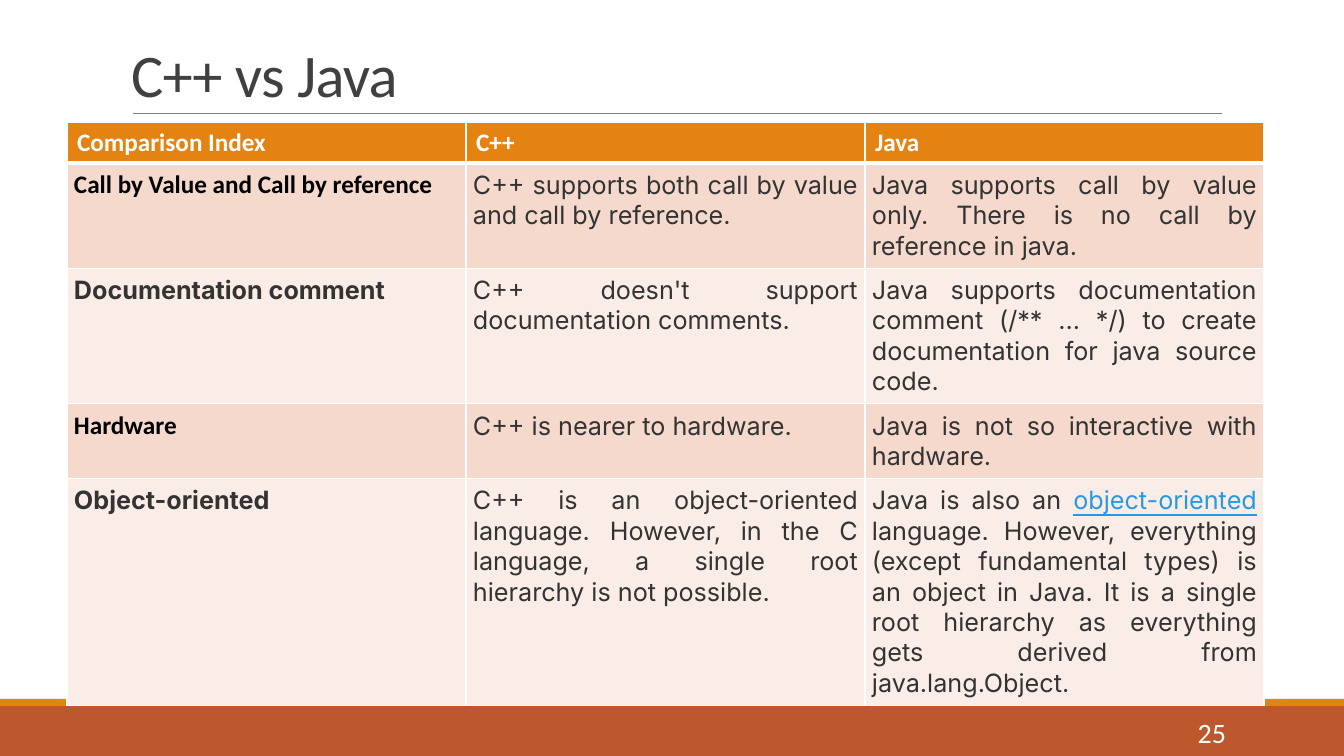
from lxml import etree
from pptx import Presentation
from pptx import util as u
from pptx.dml.color import RGBColor
from pptx.enum import shapes, text
from pptx.oxml.ns import qn

PX = 9071.43  # EMU in one px
HUES = {"rust": "BD582C", "amber": "E48312", "rule": "808080", "title": "404040",
        "white": "FFFFFF", "black": "000000", "ink": "333333", "link": "2998E3",
        "odd": "F5D9CC", "even": "FAEDE7"}

HEAD = {"size": u.Pt(18), "name": "Calibri", "bold": True, "hue": "white"}
LABEL = HEAD | {"hue": "black"}
BODY = {"size": u.Pt(18), "name": "Inter", "bold": False, "hue": "ink"}
STRONG = BODY | {"bold": True}
LINK = BODY | {"hue": "link", "underline": True}
TITLE = {"size": u.Pt(43.2), "name": "Calibri", "bold": False, "hue": "title"}
PAGE = {"size": u.Pt(20), "name": "Calibri", "bold": False, "hue": "white"}

# Each cell is a list of (words, format) runs
ROWS = [
    [[(name, HEAD)] for name in ("Comparison Index", "C++", "Java")],
    [[("Call by Value and Call by reference", LABEL)],
     [("C++ supports both call by value and call by reference.", BODY)],
     [("Java supports call by value only. There is no call by reference in java.", BODY)]],
    [[("Documentation comment", STRONG)],
     [("C++ doesn't support documentation comments.", BODY)],
     [("Java supports documentation comment (/** ... */) to create documentation "
       "for java source code.", BODY)]],
    [[("Hardware", LABEL)],
     [("C++ is nearer to hardware.", BODY)],
     [("Java is not so interactive with hardware.", BODY)]],
    [[("Object-oriented", STRONG)],
     [("C++ is an object-oriented language. However, in the C language, "
       "a single root hierarchy is not possible.", BODY)],
     [("Java is also an ", BODY), ("object-oriented", LINK),
      (" language. However, everything (except fundamental types) is an object in Java. "
       "It is a single root hierarchy as everything gets derived from java.lang.Object.",
       BODY)]],
]


def px(*nums):
    return [u.Emu(round(n * PX)) for n in nums]


def rgb(hue):
    return RGBColor.from_string(HUES[hue])


def write(para, runs, align):
    para.alignment = align
    for words, form in runs:
        run = para.add_run()
        run.text = words
        for key, value in form.items():
            if key == "hue":
                run.font.color.rgb = rgb(value)
            else:
                setattr(run.font, key, value)


def set_frame(frame, form):
    for key, value in form.items():
        setattr(frame, key, value)


def add_bands(slide, box):
    """Amber strip above a rust footer."""
    left, top, wide, high = box
    strip = 7
    for hue, y, tall in (("rust", top + strip, high - strip), ("amber", top, strip)):
        band = slide.shapes.add_shape(shapes.MSO_SHAPE.RECTANGLE, *px(left, y, wide, tall))
        band.shadow.inherit = False
        band.fill.solid()
        band.fill.fore_color.rgb = rgb(hue)
        band.line.fill.background()


def add_title(slide, box):
    left, top, wide, high = box
    title = slide.shapes.title
    title.left, title.top, title.width, title.height = px(*box)
    set_frame(title.text_frame, {"vertical_anchor": text.MSO_ANCHOR.BOTTOM,
                                 "word_wrap": True, "auto_size": text.MSO_AUTO_SIZE.NONE})
    para = title.text_frame.paragraphs[0]
    para.line_spacing = 0.85
    write(para, [("C++ vs Java", TITLE)], text.PP_ALIGN.LEFT)
    para.runs[0].font._element.set("spc", "-50")

    # Rule under the title
    y = top + high - 2
    rule = slide.shapes.add_connector(shapes.MSO_CONNECTOR.STRAIGHT,
                                      *px(left + 12, y, left + wide - 8, y))
    rule.line.color.rgb = rgb("rule")
    rule.line.width = u.Pt(0.5)
    etree.SubElement(rule._element.spPr, qn("a:effectLst"))


def add_edges(cell, widths):
    props = cell._tc.get_or_add_tcPr()
    for side, width in widths.items():
        edge = etree.SubElement(props, qn("a:ln" + side), w=str(u.Pt(width)))
        fill = etree.SubElement(edge, qn("a:solidFill"))
        etree.SubElement(fill, qn("a:srgbClr"), val=HUES["white"])


def add_grid(slide, box):
    grid = slide.shapes.add_table(len(ROWS), len(ROWS[0]), *px(*box)).table
    for i, row in enumerate(ROWS):
        head = i == 0
        hue = "amber" if head else "odd" if i % 2 else "even"
        align = text.PP_ALIGN.LEFT if head else text.PP_ALIGN.JUSTIFY
        for j, runs in enumerate(row):
            cell = grid.cell(i, j)
            add_edges(cell, {"L": 1, "R": 1, "T": 3 if i == 1 else 1, "B": 3 if head else 1})
            cell.fill.solid()
            cell.fill.fore_color.rgb = rgb(hue)
            if not head:
                for side in ("left", "right", "top", "bottom"):
                    setattr(cell, "margin_" + side, px(7)[0])
            write(cell.text_frame.paragraphs[0], runs, align)


def add_page(slide, box):
    frame = slide.shapes.add_textbox(*px(*box)).text_frame
    set_frame(frame, {"word_wrap": True, "vertical_anchor": text.MSO_ANCHOR.MIDDLE})
    write(frame.paragraphs[0], [("25", PAGE)], text.PP_ALIGN.RIGHT)


def main():
    deck = Presentation()
    deck.slide_width, deck.slide_height = px(1344, 756)
    slide = deck.slides.add_slide(deck.slide_layouts[5])
    add_bands(slide, (0, 699, 1344, 57))
    add_title(slide, (121, 39, 1109, 76))
    add_grid(slide, (67, 122, 1197, 205))
    add_page(slide, (1092, 712, 144, 40))
    deck.save("out.pptx")


if __name__ == "__main__":
    main()
